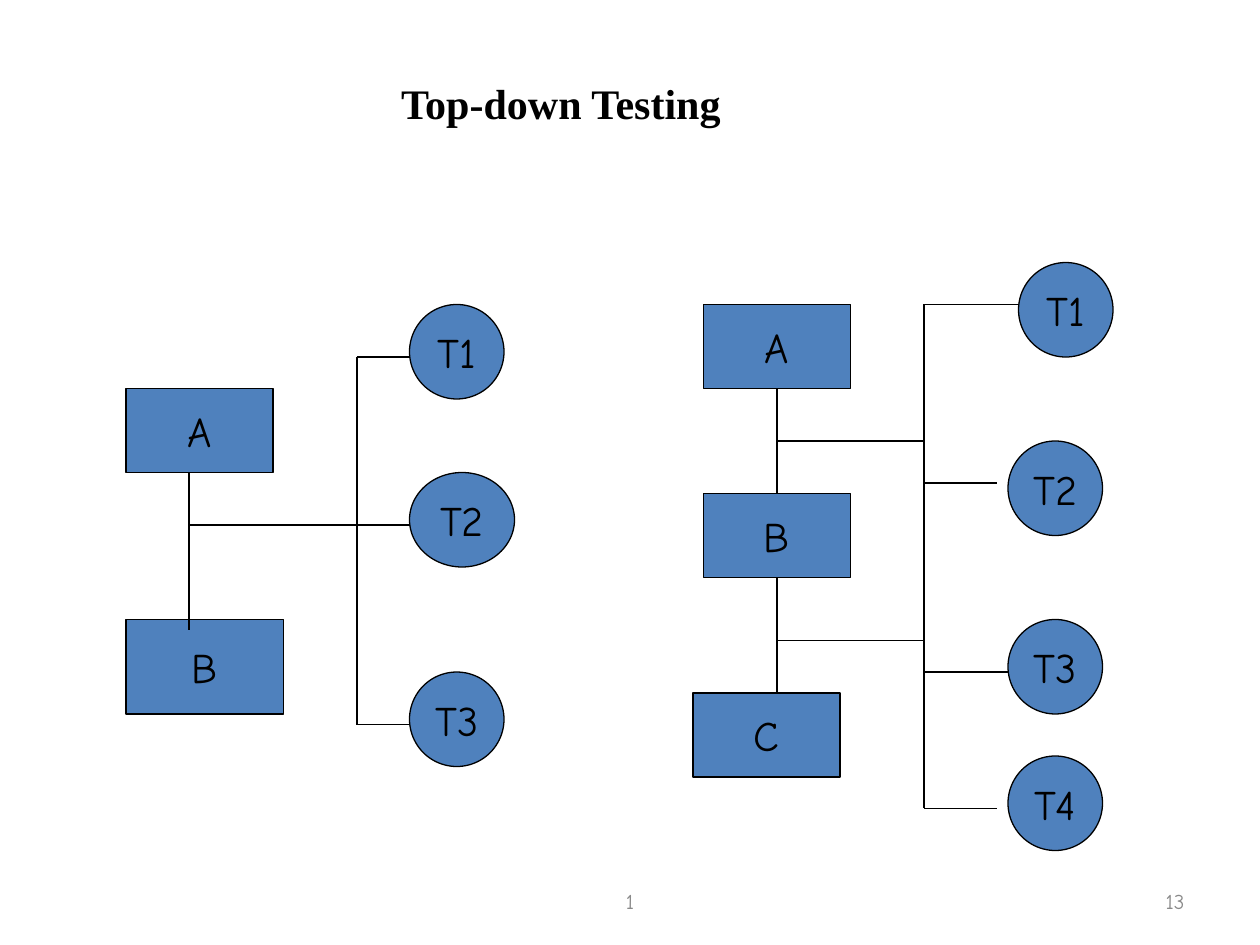
from dataclasses import dataclass
from typing import NamedTuple

from pptx import Presentation
from pptx import util as u
from pptx.dml import color
from pptx.enum import shapes, text
from pptx.oxml import xmlchemy

PX = 7620


@dataclass(frozen=True)
class Theme:
    fill: color.RGBColor = color.RGBColor(0x4F, 0x81, 0xBD)
    ink: color.RGBColor = color.RGBColor(0, 0, 0)
    muted: color.RGBColor = color.RGBColor(0x89, 0x89, 0x89)
    body_font: str = "Comic Neue"
    title_font: str = "Times New Roman"
    large: int = 24
    small: int = 12
    line: float = 0.75


class Node(NamedTuple):
    label: str
    x: int
    y: int
    w: int
    h: int


class Wire(NamedTuple):
    x1: int
    y1: int
    x2: int
    y2: int


class Footer(NamedTuple):
    label: str
    x: int
    w: int
    align: text.PP_ALIGN


THEME = Theme()

MODULES = [
    Node("A", 120, 370, 140, 80),
    Node("B", 120, 590, 150, 90),
    Node("A", 670, 290, 140, 80),
    Node("B", 670, 470, 140, 80),
    Node("C", 660, 660, 140, 80),
]
TESTS = [
    Node("T1", 390, 290, 90, 90),
    Node("T2", 390, 450, 100, 90),
    Node("T3", 390, 640, 90, 90),
    Node("T1", 970, 250, 90, 90),
    Node("T2", 960, 420, 90, 90),
    Node("T3", 960, 590, 90, 90),
    Node("T4", 960, 720, 90, 90),
]

LEFT_STEM, LEFT_BUS = 180, 340
RIGHT_STEM, RIGHT_BUS = 740, 880
WIRES = [
    Wire(LEFT_STEM, 450, LEFT_STEM, 600),
    Wire(LEFT_STEM, 500, 390, 500),
    Wire(LEFT_BUS, 340, LEFT_BUS, 690),
    *(Wire(LEFT_BUS, y, 390, y) for y in (340, 690)),
    Wire(RIGHT_STEM, 370, RIGHT_STEM, 470),
    Wire(RIGHT_STEM, 550, RIGHT_STEM, 660),
    Wire(RIGHT_BUS, 290, RIGHT_BUS, 770),
    *(Wire(RIGHT_STEM, y, RIGHT_BUS, y) for y in (420, 610)),
    *(Wire(RIGHT_BUS, y, x, y)
      for x, y in ((970, 290), (950, 460), (960, 640), (950, 770))),
]
FOOTERS = [
    Footer("1", 410, 380, text.PP_ALIGN.CENTER),
    Footer("13", 860, 280, text.PP_ALIGN.RIGHT),
]


def px(*values: int) -> list[u.Emu]:
    return [u.Emu(v * PX) for v in values]


def write(sp, label: str, size: int, font: str, ink: color.RGBColor,
          align: text.PP_ALIGN, anchor=text.MSO_ANCHOR.MIDDLE,
          wrap: bool = True, bold: bool = False) -> None:
    tf = sp.text_frame
    tf.text = label
    tf.word_wrap = wrap
    tf.vertical_anchor = anchor
    p = tf.paragraphs[0]
    p.alignment = align
    p.font.size = u.Pt(size)
    p.font.name = font
    p.font.bold = bold
    p.font.color.rgb = ink


def add_node(s, kind: shapes.MSO_SHAPE, node: Node) -> None:
    sp = s.shapes.add_shape(kind, *px(*node[1:]))
    sp.shadow.inherit = False
    sp.fill.solid()
    sp.fill.fore_color.rgb = THEME.fill
    sp.line.color.rgb = THEME.ink
    sp.line.width = u.Pt(THEME.line)
    write(sp, node.label, THEME.large, THEME.body_font, THEME.ink,
          text.PP_ALIGN.CENTER, wrap=False)


def add_wire(s, wire: Wire) -> None:
    c = s.shapes.add_connector(shapes.MSO_CONNECTOR.STRAIGHT, *px(*wire))
    c.line.color.rgb = THEME.ink
    c.line.width = u.Pt(THEME.line)
    c._element.spPr.append(xmlchemy.OxmlElement("a:effectLst"))


def add_title(s, label: str) -> None:
    sp = s.shapes.title
    sp.left, sp.top, sp.width, sp.height = px(370, 68, 490, 60)
    write(sp, label, THEME.large, THEME.title_font, THEME.ink,
          text.PP_ALIGN.LEFT, anchor=text.MSO_ANCHOR.TOP, bold=True)
    sp.text_frame.auto_size = text.MSO_AUTO_SIZE.SHAPE_TO_FIT_TEXT


def add_footer(s, footer: Footer) -> None:
    sp = s.shapes.add_textbox(*px(footer.x, 834, footer.w, 48))
    write(sp, footer.label, THEME.small, THEME.body_font, THEME.muted,
          footer.align)


def main() -> None:
    prs = Presentation()
    prs.slide_width, prs.slide_height = px(1200, 900)
    s = prs.slides.add_slide(prs.slide_layouts[5])
    for node in MODULES:
        add_node(s, shapes.MSO_SHAPE.RECTANGLE, node)
    for node in TESTS:
        add_node(s, shapes.MSO_SHAPE.OVAL, node)
    for wire in WIRES:
        add_wire(s, wire)
    add_title(s, "Top-down Testing")
    for footer in FOOTERS:
        add_footer(s, footer)
    prs.save("out.pptx")


if __name__ == "__main__":
    main()
